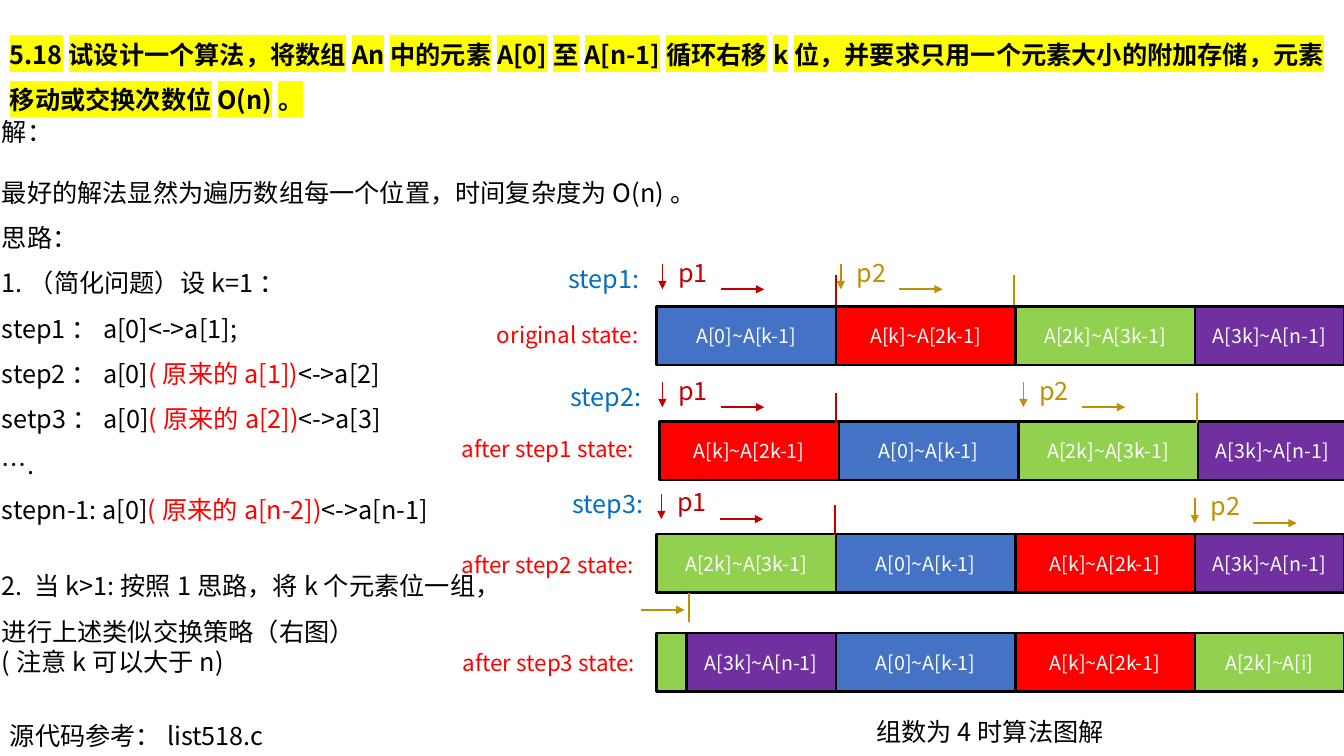
import pptx
import pptx.dml.color
import pptx.enum.shapes
import pptx.enum.text
import pptx.oxml.ns
import pptx.util
from lxml import etree

RGB = pptx.dml.color.RGBColor
BLACK = RGB(0x00, 0x00, 0x00)
WHITE = RGB(0xFF, 0xFF, 0xFF)
RED = RGB(0xFF, 0x00, 0x00)
BLUE = RGB(0x44, 0x72, 0xC4)
GREEN = RGB(0x92, 0xD0, 0x50)
PURPLE = RGB(0x70, 0x30, 0xA0)
STEP_BLUE = RGB(0x00, 0x70, 0xC0)
P1_RED = RGB(0xC0, 0x00, 0x00)
P2_GOLD = RGB(0xBF, 0x90, 0x00)
HIGHLIGHT = RGB(0xFF, 0xFF, 0x00)

FONT = "Noto Sans CJK SC"
PX = 9144  # 100 px to the inch
RECTANGLE = pptx.enum.shapes.MSO_SHAPE.RECTANGLE
STRAIGHT = pptx.enum.shapes.MSO_CONNECTOR.STRAIGHT
CENTER = pptx.enum.text.PP_ALIGN.CENTER
MIDDLE = pptx.enum.text.MSO_ANCHOR.MIDDLE
qn = pptx.oxml.ns.qn

presentation = pptx.Presentation()
presentation.slide_width = 1333 * PX
presentation.slide_height = 750 * PX
slide = presentation.slides.add_slide(presentation.slide_layouts[6])


def add_run(paragraph, text, size, color, bold=False):
    run = paragraph.add_run()
    run.text = text
    style = {"size": pptx.util.Pt(size), "bold": bold, "name": FONT}
    for key, value in style.items():
        setattr(run.font, key, value)
    run.font.color.rgb = color
    latin = run.font._element.find(qn("a:latin"))
    east_asian = etree.Element(qn("a:ea"), typeface=FONT)
    latin.addnext(east_asian)
    return latin


def add_line(x1, y1, x2, y2, color, arrow=False):
    line = slide.shapes.add_connector(STRAIGHT, x1 * PX, y1 * PX, x2 * PX, y2 * PX)
    line.line.color.rgb = color
    line.line.width = pptx.util.Pt(1.25)
    properties = line._element.spPr
    if arrow:
        etree.SubElement(properties.find(qn("a:ln")), qn("a:tailEnd"), type="triangle")
    etree.SubElement(properties, qn("a:effectLst"))


# Problem statement
problem = slide.shapes.add_textbox(0, 19 * PX, 1328 * PX, 96 * PX).text_frame
problem.word_wrap = True
problem.paragraphs[0].line_spacing = 1.5
latin = add_run(
    problem.paragraphs[0],
    "5.18试设计一个算法，将数组An中的元素A[0]至A[n-1]循环右移k位，"
    "并要求只用一个元素大小的附加存储，元素移动或交换次数位O(n)。",
    18, BLACK, bold=True)
highlight = etree.Element(qn("a:highlight"))
etree.SubElement(highlight, qn("a:srgbClr"), val=str(HIGHLIGHT))
latin.addprevious(highlight)

# Solution: line spacing, points before, runs (every second run is red)
solution_lines = [
    (1, 0, ["解："]),
    (1, 22, ["最好的解法显然为遍历数组每一个位置，时间复杂度为O(n)。"]),
    (1.5, 0, ["思路："]),
    (1.5, 0, ["1.（简化问题）设k=1："]),
    (1.5, 0, ["step1：a[0]<->a[1];"]),
    (1.5, 0, ["step2：a[0]", "(原来的a[1])", "<->a[2]"]),
    (1.5, 0, ["setp3：a[0]", "(原来的a[2])", "<->a[3]"]),
    (1.5, 0, ["…."]),
    (1.5, 0, ["stepn-1: a[0]", "(原来的a[n-2])", "<->a[n-1]"]),
    (1.5, 22, ["2. 当k>1:按照1思路，将k个元素位一组，"]),
    (1.5, 0, ["进行上述类似交换策略（右图）"]),
    (1, 0, ["(注意k可以大于n)"]),
]
solution = slide.shapes.add_textbox(-8 * PX, 110 * PX, 752 * PX, 571 * PX).text_frame
solution.word_wrap = True
for index, (spacing, before, parts) in enumerate(solution_lines):
    paragraph = solution.add_paragraph() if index else solution.paragraphs[0]
    paragraph.line_spacing = spacing
    paragraph.space_before = pptx.util.Pt(before)
    for part_index, part in enumerate(parts):
        add_run(paragraph, part, 18, RED if part_index % 2 else BLACK)

# Array states, each a row of adjoining blocks
first = ("A[0]~A[k-1]", BLUE, 178)
second = ("A[k]~A[2k-1]", RED, 178)
third = ("A[2k]~A[3k-1]", GREEN, 178)
last = ("A[3k]~A[n-1]", PURPLE, 148)
states = [
    (651, 304, [first, second, third, last]),
    (654, 418, [second, first, third, last]),
    (651, 530, [third, first, second, last]),
    (651, 628, [("", GREEN, 30), last, first, second, ("A[2k]~A[i]", GREEN, 148)]),
]
for x, y, blocks in states:
    for text, color, width in blocks:
        block = slide.shapes.add_shape(RECTANGLE, x * PX, y * PX, width * PX, 58 * PX)
        block.shadow.inherit = False
        block.fill.solid()
        block.fill.fore_color.rgb = color
        block.line.color.rgb = BLACK
        block.line.width = pptx.util.Pt(1.75)
        block.text_frame.vertical_anchor = MIDDLE
        if text:
            block.text_frame.paragraphs[0].alignment = CENTER
            add_run(block.text_frame.paragraphs[0], text, 14, WHITE)
        x += width

# Pointers: start arrow, label, direction arrow, end mark
pointers = [
    ("p1", 657, 262, P1_RED, True),
    ("p1", 657, 379, P1_RED, True),
    ("p2", 834, 262, P2_GOLD, True),
    ("p2", 1015, 379, P2_GOLD, True),
    ("p1", 656, 490, P1_RED, True),
    ("p2", 1185, 494, P2_GOLD, False),
]
labels = [
    ("源代码参考：list518.c", 0, 710, 285, 18, BLACK),
    ("组数为4时算法图解", 859, 706, 265, 18, BLACK),
    ("step1:", 554, 256, 94, 18, STEP_BLUE),
    ("step2:", 556, 373, 94, 18, STEP_BLUE),
    ("step3:", 558, 480, 105, 18, STEP_BLUE),
    ("original state:", 483, 314, 168, 16, RED),
    ("after step1 state:", 448, 427, 194, 16, RED),
    ("after step2 state:", 448, 542, 202, 16, RED),
    ("after step3 state:", 449, 639, 211, 16, RED),
]
for name, x, y, color, has_end in pointers:
    add_line(x, y, x, y + 25, color, arrow=True)
    add_line(x + 58, y + 25, x + 101, y + 25, color, arrow=True)
    if has_end:
        add_line(x + 172, y + 11, x + 172, y + 41, color)
    labels.append((name, x + 6, y - 12, 53, 18, color))

add_line(683, 588, 683, 617, P2_GOLD)
add_line(636, 605, 679, 605, P2_GOLD, arrow=True)

for text, x, y, width, size, color in labels:
    height = 40 if size == 18 else 37
    label = slide.shapes.add_textbox(x * PX, y * PX, width * PX, height * PX)
    label.text_frame.word_wrap = True
    add_run(label.text_frame.paragraphs[0], text, size, color)

presentation.save("out.pptx")
